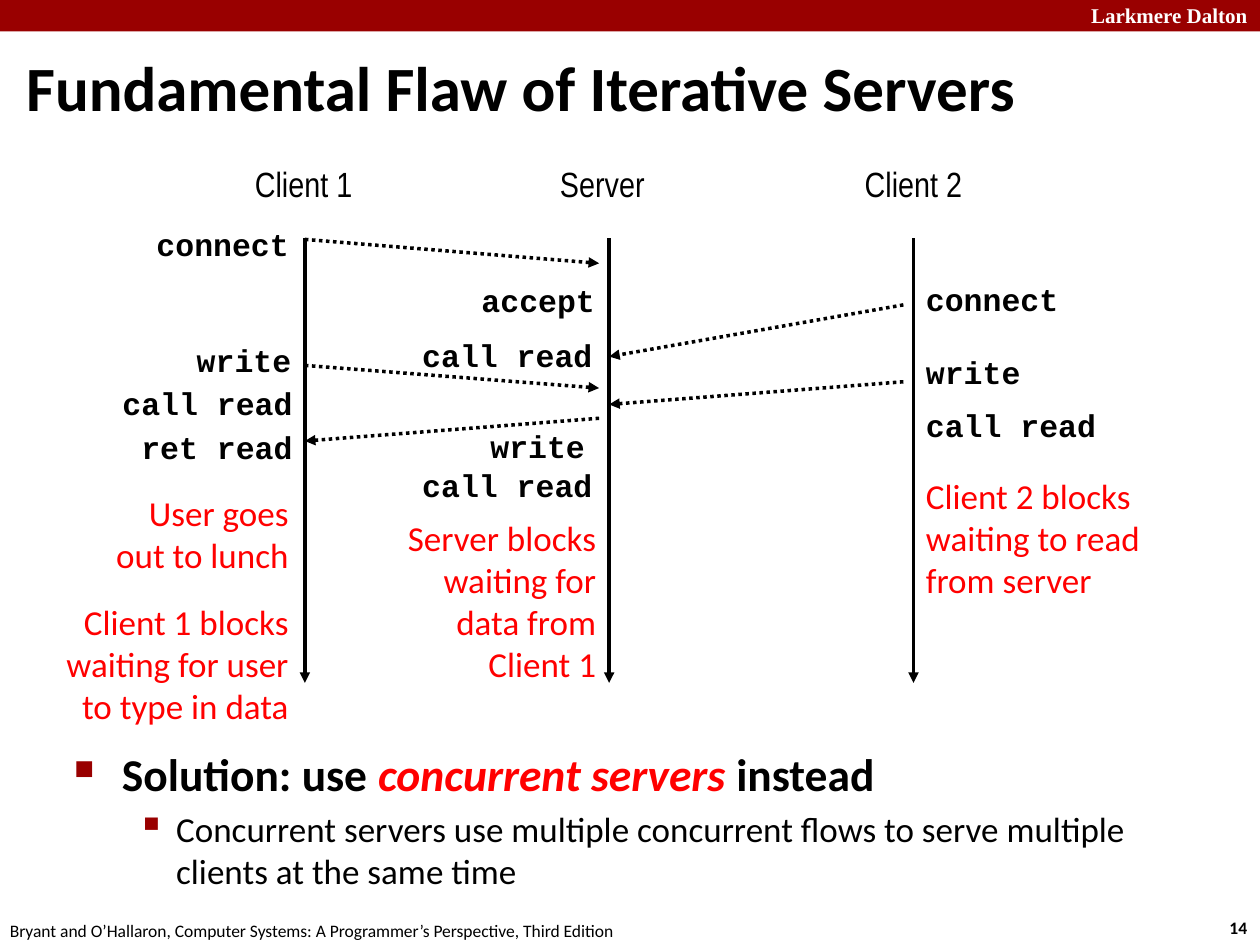
from lxml.etree import SubElement
from pptx import Presentation
from pptx.dml.color import RGBColor as Color
from pptx.enum.dml import MSO_LINE as Dash
from pptx.enum.shapes import MSO_CONNECTOR as Connector, MSO_SHAPE as Shape
from pptx.enum.text import MSO_ANCHOR as Anchor, PP_ALIGN as Align
from pptx.oxml.ns import qn
from pptx.util import Inches, Pt

THEME = {
    "colors": {"ink": "000000", "alert": "FF0000", "brand": "990000", "paper": "FFFFFF"},
    "styles": {
        "brand": ("Times New Roman", 12, True, "paper"),
        "number": ("Calibri", 10, True, "ink"),
        "footer": ("Calibri", 10, False, "ink"),
        "title": ("Calibri", 36, True, "ink"),
        "point": ("Calibri", 26, True, "ink"),
        "detail": ("Calibri", 20, False, "ink"),
        "note": ("Calibri", 20, False, "alert"),
        "heading": ("Arial Narrow", 20, False, "ink"),
        "code": ("Courier New", 18, True, "ink"),
    },
    "line": 2,
}
WIDTH, HEIGHT = 10, 7.5
LANES = [2.42 + 2.415 * step for step in range(3)]
LANE_TOP, LANE_BOTTOM = 1.89, 5.42
GAP = 0.08
CODE_CHAR, CODE_HEIGHT, INSETS = 0.15, 0.4, 0.2

FRAME_TEXTS = [
    ("Larkmere Dalton", "brand", (8, -0.03, 2, 0.3), Align.RIGHT),
    ("14", "number", (9.66, 7.23, 0.37, 0.27), Align.LEFT),
    ("Bryant and O’Hallaron, Computer Systems: A Programmer’s Perspective, Third Edition",
     "footer", (-0.02, 7.25, 5.08, 0.27), Align.LEFT),
]
TITLE = "Fundamental Flaw of Iterative Servers"
HEADINGS = [("Client 1", 2.41), ("Server", 4.78), ("Client 2", 7.25)]
LEFT_CALLS = [
    ("connect", 2.39, 1.74), ("write", 2.41, 2.66),
    ("call read", 2.42, 3), ("ret read", 2.42, 3.35),
    ("accept", 4.82, 2.18), ("call read", 4.8, 2.62),
    ("write", 4.74, 3.34), ("call read", 4.8, 3.65),
]
RIGHT_CALLS = [("connect", 2.17), ("write", 2.75), ("call read", 3.17)]
MESSAGES = [
    (LANES[0], 1.9, LANES[1] - GAP, 2.09),
    (LANES[2] - GAP, 2.42, LANES[1], 2.83),
    (LANES[0], 2.9, LANES[1] - GAP, 3.08),
    (LANES[2] - GAP, 3.03, LANES[1], 3.21),
    (LANES[1] - GAP, 3.32, LANES[0], 3.5),
]
NOTES = [
    ([["User goes", "out to lunch"],
      ["Client 1 blocks", "waiting for user", "to type in data"]],
     Align.RIGHT, (0.35, 3.85, 2.04, 1.99)),
    ([["Server blocks", "waiting for", "data from", "Client 1"]],
     Align.RIGHT, (3.12, 4.05, 1.71, 1.45)),
    ([["Client 2 blocks", "waiting to read", "from server"]],
     Align.LEFT, (7.25, 3.72, 1.92, 1.11)),
]
NOTE_GAP = 14.6
POINTS = [
    ("point", 0, 0.38, 0.38, "■", 60,
     [("Solution: use ", False), ("concurrent servers ", True), ("instead", False)]),
    ("detail", 1, 0.81, 0.31, "▪", 110,
     [("Concurrent servers use multiple concurrent flows to serve multiple "
       "clients at the same time", False)]),
]


def color(name):
    return Color.from_string(THEME["colors"][name])


def add_box(page, place, wrap=False, anchor=Anchor.TOP):
    frame = page.shapes.add_textbox(*map(Inches, place)).text_frame
    frame.word_wrap = wrap
    frame.vertical_anchor = anchor
    return frame


def add_span(para, text, style, stressed=False):
    face, size, bold, ink = THEME["styles"][style]
    span = para.add_run()
    span.text = text
    span.font.name, span.font.size = face, Pt(size)
    span.font.bold, span.font.italic = bold, stressed
    span.font.color.rgb = color("alert" if stressed else ink)


def add_label(page, text, style, place, align=Align.LEFT):
    para = add_box(page, place).paragraphs[0]
    para.alignment = align
    add_span(para, text, style)


def set_indent(para, margin, hanging):
    props = para._p.get_or_add_pPr()
    props.set("marL", str(Inches(margin)))
    props.set("indent", str(-Inches(hanging)))
    return props


def add_bullet(props, mark, percent):
    tint = SubElement(props, qn("a:buClr"))
    SubElement(tint, qn("a:srgbClr"), val=THEME["colors"]["brand"])
    SubElement(props, qn("a:buSzPct"), val=str(percent * 1000))
    SubElement(props, qn("a:buChar"), char=mark)


def add_arrow(page, ends, dash=None):
    arrow = page.shapes.add_connector(Connector.STRAIGHT, *map(Inches, ends))
    arrow.line.color.rgb = color("ink")
    arrow.line.width = Pt(THEME["line"])
    if dash:
        arrow.line.dash_style = dash
    SubElement(arrow.line._get_or_add_ln(), qn("a:tailEnd"), type="triangle")
    SubElement(arrow._element.spPr, qn("a:effectLst"))


def add_note(page, groups, align, place):
    frame = add_box(page, place)
    para = frame.paragraphs[0]
    for group_index, lines in enumerate(groups):
        for line_index, text in enumerate(lines):
            if group_index or line_index:
                para = frame.add_paragraph()
            para.alignment = align
            if group_index and not line_index:
                para.space_before = Pt(NOTE_GAP)
            add_span(para, text, "note")


def add_points(page):
    frame = add_box(page, (0.49, 5.87, 9.26, 1.26), wrap=True)
    for index, (style, level, margin, hanging, mark, percent, spans) in enumerate(POINTS):
        para = frame.add_paragraph() if index else frame.paragraphs[0]
        para.level = level
        para.space_before = Pt(THEME["styles"][style][1] * 0.2)
        add_bullet(set_indent(para, margin, hanging), mark, percent)
        for text, stressed in spans:
            add_span(para, text, style, stressed)


def main():
    deck = Presentation()
    deck.slide_width, deck.slide_height = Inches(WIDTH), Inches(HEIGHT)
    page = deck.slides.add_slide(deck.slide_layouts[6])

    band = page.shapes.add_shape(Shape.RECTANGLE, 0, 0, Inches(WIDTH), Inches(HEIGHT / 30))
    band.shadow.inherit = False
    band.fill.solid()
    band.fill.fore_color.rgb = color("brand")
    band.line.fill.background()
    for text, style, place, align in FRAME_TEXTS:
        add_label(page, text, style, place, align)

    title = add_box(page, (0.11, 0.37, 9.83, 0.63), wrap=True, anchor=Anchor.MIDDLE).paragraphs[0]
    set_indent(title, 0.13, 0.13)
    add_span(title, TITLE, "title")
    add_points(page)

    for note in NOTES:
        add_note(page, *note)
    for text, center in HEADINGS:
        add_label(page, text, "heading", (center - 0.49, 1.24, 0.98, 0.44), Align.CENTER)
    for lane in LANES:
        add_arrow(page, (lane, LANE_TOP, lane, LANE_BOTTOM))
    for ends in MESSAGES:
        add_arrow(page, ends, Dash.ROUND_DOT)

    for text, right, top in LEFT_CALLS:
        width = CODE_CHAR * len(text) + INSETS
        add_label(page, text, "code", (right - width, top, width, CODE_HEIGHT), Align.RIGHT)
    for text, top in RIGHT_CALLS:
        width = CODE_CHAR * len(text) + INSETS
        add_label(page, text, "code", (LANES[2], top, width, CODE_HEIGHT))

    deck.save("out.pptx")


if __name__ == "__main__":
    main()
